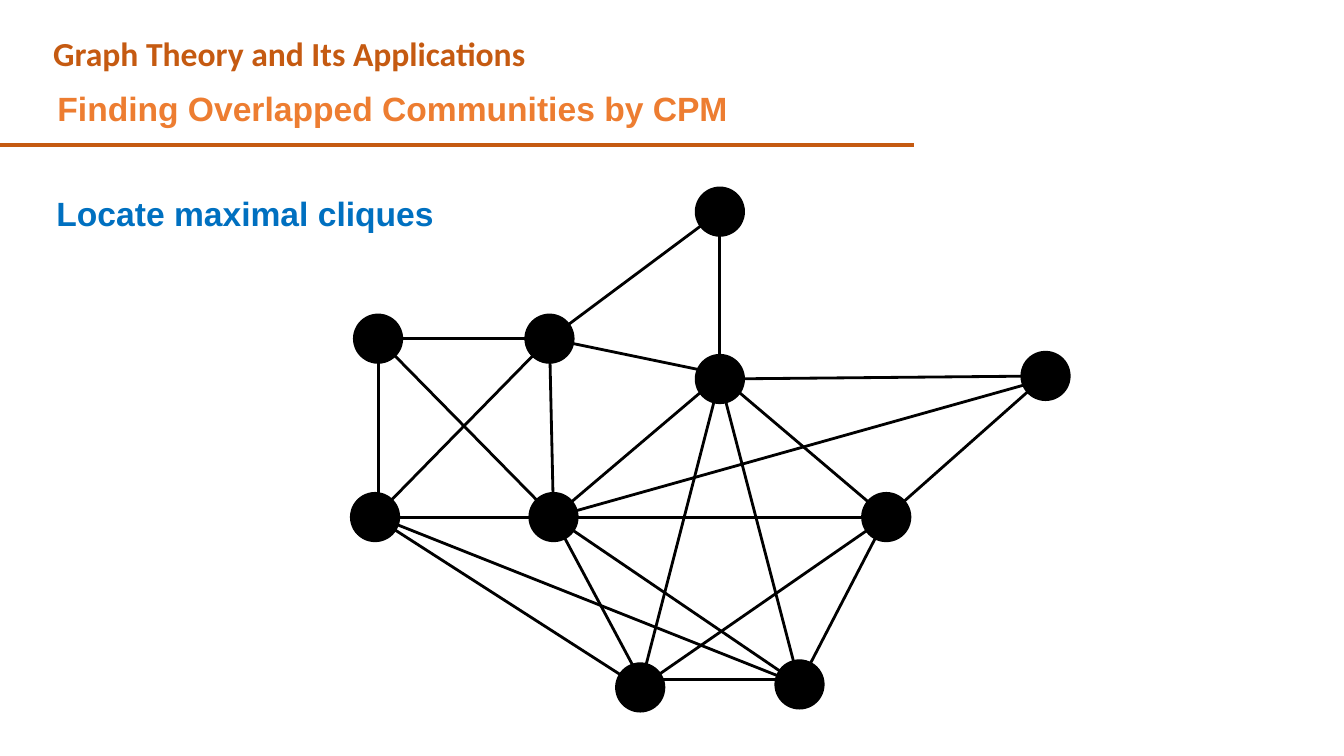
from pptx import Presentation
from pptx.dml.color import RGBColor
from pptx.enum.shapes import MSO_CONNECTOR, MSO_SHAPE
from pptx.enum.text import MSO_ANCHOR, MSO_AUTO_SIZE, PP_ALIGN
from pptx.oxml.ns import qn
from pptx.util import Pt
from lxml import etree

EMU_PER_PX = 9144  # 100 px to the inch
STRAIGHT = MSO_CONNECTOR.STRAIGHT
ELLIPSE = MSO_SHAPE.OVAL
TOP = MSO_ANCHOR.TOP
LEFT = PP_ALIGN.LEFT
NO_AUTOFIT = MSO_AUTO_SIZE.NONE

NODE_SIZE = 47
NODES = {  # name: centre
    "peak": (714, 210),
    "hub": (714, 376),
    "upper outer": (375, 336),
    "upper inner": (545, 336),
    "lower outer": (372, 513),
    "lower inner": (549, 513),
    "right": (879, 513),
    "far right": (1037, 373),
    "base left": (635, 682),
    "base right": (793, 679),
}
NEIGHBOURS = {
    "peak": ["hub", "upper inner"],
    "hub": ["upper inner", "lower inner", "right", "far right", "base left", "base right"],
    "upper inner": ["upper outer", "lower outer", "lower inner"],
    "upper outer": ["lower outer", "lower inner"],
    "lower outer": ["lower inner", "base left", "base right"],
    "lower inner": ["right", "far right", "base left", "base right"],
    "right": ["far right", "base left", "base right"],
    "base left": ["base right"],
}
OFFSETS = {  # (node, neighbour): shift of that edge's end from the node's centre
    ("hub", "peak"): (0, -5),
    ("hub", "upper inner"): (0, -5),
    ("hub", "lower inner"): (0, -3),
    ("hub", "right"): (0, -3),
    ("far right", "lower inner"): (0, 3),
    ("lower outer", "upper inner"): (-17, 17),
    ("lower outer", "upper outer"): (3, 0),
    ("lower outer", "base right"): (3, 0),
    ("base left", "lower inner"): (0, -8),
    ("base left", "base right"): (0, -8),
    ("base right", "base left"): (0, -5),
}


def px(length):
    return round(length * EMU_PER_PX)


def color(hex_string):
    return RGBColor.from_string(hex_string)


def edge_end(node, neighbour):
    (x, y), (dx, dy) = NODES[node], OFFSETS.get((node, neighbour), (0, 0))
    return x + dx, y + dy


class SlideBuilder:
    ink = "000000"
    text_size = 24

    def __init__(self, slide):
        self.slide = slide

    def line(self, start, end, hex_color=ink, width=2):
        line = self.slide.shapes.add_connector(STRAIGHT, *map(px, start + end))
        line.line.color.rgb = color(hex_color)
        line.line.width = Pt(width)
        etree.SubElement(line._element.spPr, qn("a:effectLst"))

    def node(self, center):
        left, top = (value - NODE_SIZE / 2 for value in center)
        node = self.slide.shapes.add_shape(
            ELLIPSE, px(left), px(top), px(NODE_SIZE), px(NODE_SIZE))
        node.shadow.inherit = False
        node.fill.solid()
        node.fill.fore_color.rgb = color(self.ink)
        node.line.color.rgb = color(self.ink)
        node.line.width = Pt(2)

    def text_box(self, text, bounds, font, hex_color):
        box = self.slide.shapes.add_textbox(*map(px, bounds))
        self.fill_text(box, text, font, hex_color)

    def placeholder(self, index, text, bounds, font, hex_color, spacing=1.0):
        box = self.slide.placeholders[index]
        box.left, box.top, box.width, box.height = map(px, bounds)
        self.fill_text(box, text, font, hex_color, spacing)

    def fill_text(self, box, text, font, hex_color, spacing=1.0):
        """Fill a box with one unbulleted, left-aligned bold paragraph."""
        frame = box.text_frame
        frame.text = text
        frame_format = {"word_wrap": True, "auto_size": NO_AUTOFIT, "vertical_anchor": TOP}
        for name, value in frame_format.items():
            setattr(frame, name, value)
        para = frame.paragraphs[0]
        para_format = {"alignment": LEFT, "line_spacing": spacing, "space_before": Pt(0)}
        for name, value in para_format.items():
            setattr(para, name, value)
        properties = para._p.get_or_add_pPr()
        properties.set("marL", "0")
        properties.set("indent", "0")
        etree.SubElement(properties, qn("a:buNone"))
        span = para.runs[0]
        span_format = {"name": font, "size": Pt(self.text_size), "bold": True}
        for name, value in span_format.items():
            setattr(span.font, name, value)
        span.font.color.rgb = color(hex_color)


def main():
    deck = Presentation()
    deck.slide_width, deck.slide_height = px(1333), px(750)
    page = SlideBuilder(deck.slides.add_slide(deck.slide_layouts[1]))

    page.text_box("Graph Theory and Its Applications", (43, 28, 820, 50), "Calibri", "C55A11")
    page.placeholder(0, "Finding Overlapped Communities by CPM",
                     (47, 82, 875, 50), "Arial", "ED7D31")
    page.line((0, 144), (907, 144), "C55A11", 3)
    page.placeholder(1, "Locate maximal cliques", (46, 166, 503, 156), "Arial", "0070C0", 1.5)

    for node, neighbours in NEIGHBOURS.items():
        for neighbour in neighbours:
            page.line(edge_end(node, neighbour), edge_end(neighbour, node))
    for center in NODES.values():
        page.node(center)

    deck.save("out.pptx")


if __name__ == "__main__":
    main()
